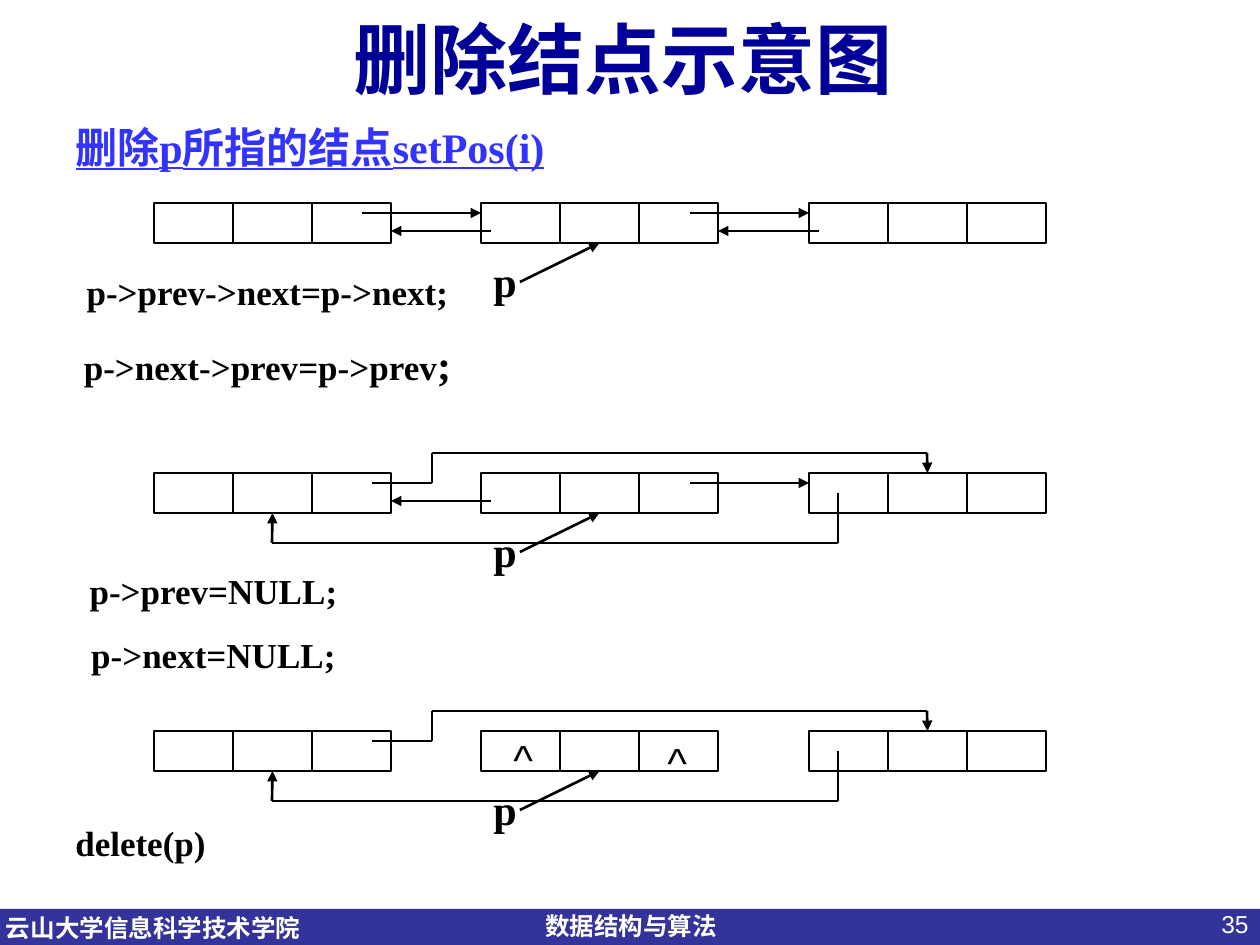
import pptx
import pptx.dml.color
import pptx.enum.dml
import pptx.enum.shapes
import pptx.enum.text
import pptx.oxml.ns
import pptx.util
from lxml import etree

RGB = pptx.dml.color.RGBColor
BLACK = RGB(0x00, 0x00, 0x00)
WHITE = RGB(0xFF, 0xFF, 0xFF)
NAVY = RGB(0x00, 0x00, 0x99)
BLUE = RGB(0x33, 0x33, 0xFF)
BAR = RGB(0x33, 0x33, 0x99)
ALIGN = pptx.enum.text.PP_ALIGN
FIT = pptx.enum.text.MSO_AUTO_SIZE
RECT = pptx.enum.shapes.MSO_SHAPE.RECTANGLE
STRAIGHT = pptx.enum.shapes.MSO_CONNECTOR.STRAIGHT
qn = pptx.oxml.ns.qn

NODES = (154, 481, 809)
WIDE, HIGH = 79, 40
TOP, BOTTOM = 0, 2


def px(*vals):
    return [pptx.util.Emu(round(v * 914400 / 126)) for v in vals]


class Pen:
    """Draws styled elements on the current slide or group."""

    serif, sans, han = "Times New Roman", "Arial", "Noto Sans CJK SC"
    line = pptx.util.Pt(1.5)

    def __init__(self, slide):
        self.slide = slide
        self.area = slide.shapes

    def group(self):
        self.area = self.slide.shapes.add_group_shape().shapes

    def leave(self):
        self.area = self.slide.shapes

    def style(self, run, size, color, name, bold=True):
        font = run.font
        font.size, font.bold, font.name = pptx.util.Pt(size), bold, name
        font.color.rgb = color
        ea = etree.SubElement(font._element, qn("a:ea"))
        ea.set("typeface", self.han)

    def title(self, text, box, size):
        shape = self.slide.shapes.title
        shape.left, shape.top, shape.width, shape.height = px(*box)
        frame = shape.text_frame
        frame.text = text
        frame.auto_size = FIT.NONE
        frame.vertical_anchor = pptx.enum.text.MSO_ANCHOR.MIDDLE
        frame.margin_left, frame.margin_right = px(25, 38)
        frame.paragraphs[0].alignment = ALIGN.CENTER
        self.style(frame.paragraphs[0].runs[0], size, NAVY, self.han)

    def text(self, text, box, size, color=BLACK, name=serif, bold=True,
             align=ALIGN.CENTER, gap=12.5):
        frame = self.area.add_textbox(*px(*box)).text_frame
        frame.text = text
        frame.word_wrap = False
        for i, para in enumerate(frame.paragraphs):
            para.alignment = align
            if i:
                para.space_before = pptx.util.Pt(gap)
            self.style(para.runs[0], size, color, name, bold)
        return frame

    def rect(self, box, fill=None):
        shape = self.area.add_shape(RECT, *px(*box))
        shape.shadow.inherit = False
        if fill is None:
            shape.fill.background()
            shape.line.color.rgb = BLACK
            shape.line.width = self.line
        else:
            shape.fill.solid()
            shape.fill.fore_color.rgb = fill
            shape.line.fill.background()
        return shape

    def wire(self, points, arrow=True, cell=None, side=None):
        for start, end in zip(points, points[1:]):
            link = self.area.add_connector(STRAIGHT, *px(*start, *end))
            link.line.color.rgb = BLACK
            link.line.width = self.line
            etree.SubElement(link._element.spPr, qn("a:effectLst"))
        if arrow:
            tail = etree.SubElement(link.line._get_or_add_ln(), qn("a:tailEnd"))
            tail.set("type", "triangle")
        if cell is not None:
            link.end_connect(cell, side)

    def chain(self, y):
        self.group()
        cells = [self.rect((x + i * WIDE, y, WIDE, HIGH))
                 for x in NODES for i in range(3)]
        self.wire([(520, y + 79), (600, y + HIGH)], cell=cells[4], side=BOTTOM)
        self.text("p", (481, y + 46, 48, 63), 24)
        return cells

    def next(self, y, node):
        x = NODES[node]
        self.wire([(x - 119, y + 10), (x, y + 10)])

    def prev(self, y, node):
        end = NODES[node - 1] + 3 * WIDE
        self.wire([(NODES[node] + 10, y + 28), (end, y + 28)])

    def bypass(self, y, cells):
        self.wire([(372, y + 10), (432, y + 10), (432, y - 20),
                   (927, y - 20), (927, y)], cell=cells[7], side=TOP)
        self.wire([(838, y + 20), (838, y + 70), (272, y + 70),
                   (272, y + HIGH)], cell=cells[1], side=BOTTOM)


def main():
    deck = pptx.Presentation()
    deck.slide_width, deck.slide_height = px(1260, 945)
    pen = Pen(deck.slides.add_slide(deck.slide_layouts[5]))

    pen.rect((0, 909, 1260, 36), BAR)
    for text, box in (("云山大学信息科学技术学院", (6, 907, 330, 43)),
                      ("数据结构与算法", (545, 905, 206, 43))):
        frame = pen.text(text, box, 14, WHITE, pen.sans, align=ALIGN.LEFT)
        frame.margin_left = 0
    pen.text("35", (968, 903, 293, 65), 14, WHITE, pen.sans, False,
             ALIGN.RIGHT).word_wrap = True

    pen.title("删除结点示意图", (0, 0, 1260, 115), 44)
    head = pen.text("删除p所指的结点setPos(i)", (46, 115, 528, 63), 24, BLUE)
    head.paragraphs[0].runs[0].font.underline = True

    first, second, third = 203, 473, 731
    pen.chain(first)
    for node in (1, 2):
        pen.next(first, node)
        pen.prev(first, node)
    pen.leave()
    code = pen.text("p->prev->next=p->next;\np->next->prev=p->prev",
                    (69, 264, 397, 131), 20, gap=15)
    mark = code.paragraphs[1].add_run()
    mark.text = ";"
    pen.style(mark, 24, BLACK, pen.serif)

    cells = pen.chain(second)
    pen.prev(second, 1)
    pen.next(second, 2)
    pen.bypass(second, cells)
    pen.leave()
    pen.text("p->prev=NULL;\np->next=NULL;", (75, 563, 277, 118), 20)

    cells = pen.chain(third)
    pen.bypass(third, cells)
    for x, y in ((501, 727), (655, 730)):
        pen.text("^", (x, y, 44, 63), 24, name=pen.sans, bold=False)
    pen.leave()
    pen.text("delete(p)", (55, 815, 171, 55), 20)

    deck.save("out.pptx")


if __name__ == "__main__":
    main()
